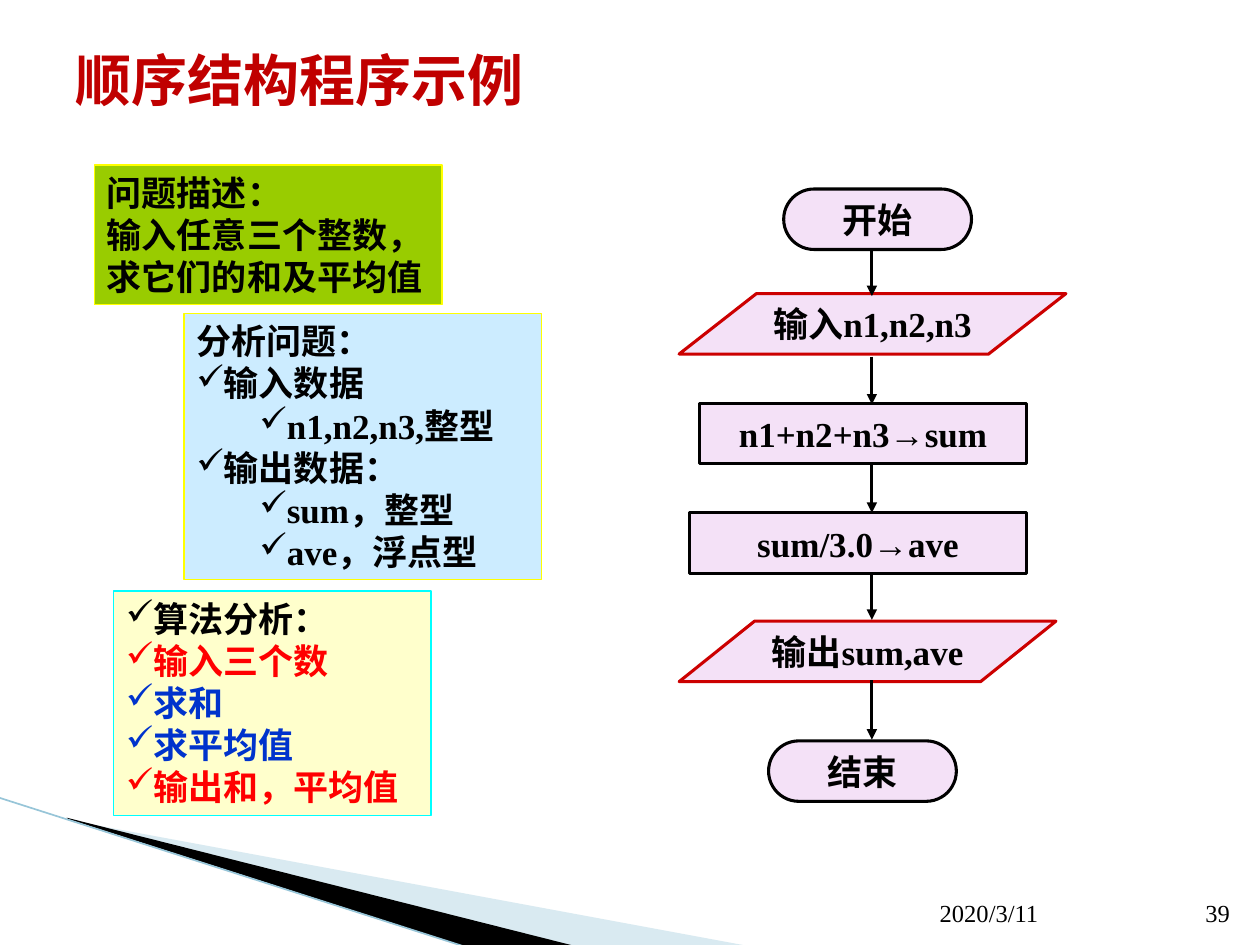
from lxml.etree import SubElement
from pptx import Presentation
from pptx.dml.color import RGBColor
from pptx.enum.shapes import MSO_CONNECTOR, MSO_SHAPE
from pptx.enum.text import MSO_ANCHOR, MSO_AUTO_SIZE, PP_ALIGN
from pptx.oxml.ns import qn
from pptx.util import Pt

PX = 9144  # 100 px to the inch
SERIF, SANS = "Times New Roman", "Noto Sans CJK SC"
COLORS = {
    "black": "000000", "title": "C00000", "red": "FF0000", "blue": "0033CC",
    "green": "99CC00", "sky": "CCECFF", "cream": "FFFFCC", "lilac": "F4E1F7",
    "yellow": "FFFF00", "cyan": "00FFFF", "crimson": "CC0000",
    "wedge": "A0CBDC", "edge": "97C5D8",
}

# Wedges: fill, opacity in percent, corners
WEDGES = [
    ("wedge", 40, [(55, 651), (595, 751), (456, 751), (55, 650)]),
    ("black", 100, [(53, 649), (457, 751), (372, 752), (54, 650)]),
]
EDGE = (-1, 633, 371, 752)

# Plain text: text, box, size, font, colour, bold, alignment, anchor
LABELS = [
    ("2020/3/11", (736, 701, 210, 40), 14, SERIF, "black", False,
     PP_ALIGN.LEFT, MSO_ANCHOR.BOTTOM),
    ("39", (946, 701, 40, 40), 14, SERIF, "black", False,
     PP_ALIGN.RIGHT, MSO_ANCHOR.BOTTOM),
    ("顺序结构程序示例", (50, 30, 900, 65), 32, SANS, "title", True,
     PP_ALIGN.LEFT, MSO_ANCHOR.MIDDLE),
]

# Notes: box, fill, line, paragraphs of (text, bullet level or None, colour)
NOTES = [
    ((75, 131, 276, 111), "green", "yellow", [
        ("问题描述：", None, "black"),
        ("输入任意三个整数，求它们的和及平均值", None, "black"),
    ]),
    ((146, 249, 284, 211), "sky", "yellow", [
        ("分析问题：", None, "black"),
        ("输入数据", 0, "black"),
        ("n1,n2,n3,整型", 1, "black"),
        ("输出数据：", 0, "black"),
        ("sum，整型", 1, "black"),
        ("ave，浮点型", 1, "black"),
    ]),
    ((90, 469, 252, 178), "cream", "cyan", [
        ("算法分析：", 0, "black"),
        ("输入三个数", 0, "red"),
        ("求和", 0, "blue"),
        ("求平均值", 0, "blue"),
        ("输出和，平均值", 0, "red"),
    ]),
]

# Flowchart: kind, text, left, top, width
STEP_H = 48
KINDS = {
    "end": (MSO_SHAPE.FLOWCHART_TERMINATOR, "black"),
    "data": (MSO_SHAPE.FLOWCHART_DATA, "crimson"),
    "process": (MSO_SHAPE.FLOWCHART_PROCESS, "black"),
}
STEPS = [
    ("end", "开始", 622, 150, 149),
    ("data", "输入n1,n2,n3", 539, 233, 307),
    ("process", "n1+n2+n3→sum", 555, 320, 260),
    ("process", "sum/3.0→ave", 547, 407, 268),
    ("data", "输出sum,ave", 539, 493, 299),
    ("end", "结束", 610, 588, 149),
]
ARROW_X = 692
ARROWS = [(197, 235), (283, 321), (369, 407), (454, 492), (540, 587)]


def rgb(name):
    return RGBColor.from_string(COLORS[name])


def emu(values):
    return [v * PX for v in values]


def add_run(p, text, size, font, color, bold):
    r = p.add_run()
    r.text = text
    r.font.size, r.font.name, r.font.bold = Pt(size), font, bold
    r.font.color.rgb = rgb(color)


def add_bullet(p, level):
    pPr = p._p.get_or_add_pPr()
    pPr.set("marL", str(level * 50 * PX))
    pPr.set("indent", "0")
    SubElement(pPr, qn("a:buChar")).set("char", "✓")
    p.level = level


def add_block(s, kind, box, fill, line, weight):
    sp = s.shapes.add_shape(kind, *emu(box))
    sp.shadow.inherit = False
    sp.fill.solid()
    sp.fill.fore_color.rgb = rgb(fill)
    sp.line.color.rgb = rgb(line)
    sp.line.width = Pt(weight)
    return sp


def add_line(s, ends, color, weight, arrow=False):
    c = s.shapes.add_connector(MSO_CONNECTOR.STRAIGHT, *emu(ends))
    c.line.color.rgb = rgb(color)
    c.line.width = Pt(weight)
    if arrow:
        SubElement(c.line._get_or_add_ln(), qn("a:tailEnd")).set("type", "triangle")
    SubElement(c._element.spPr, qn("a:effectLst"))


prs = Presentation()
prs.slide_width, prs.slide_height = emu((1000, 750))
s = prs.slides.add_slide(prs.slide_layouts[6])

# Corner decoration
for fill, opacity, points in WEDGES:
    builder = s.shapes.build_freeform(*points[0], scale=PX)
    builder.add_line_segments(points[1:], close=True)
    sp = builder.convert_to_shape()
    sp.shadow.inherit = False
    sp.line.fill.background()
    sp.fill.solid()
    sp.fill.fore_color.rgb = rgb(fill)
    if opacity < 100:
        clr = sp._element.spPr.find(qn("a:solidFill"))[0]
        SubElement(clr, qn("a:alpha")).set("val", str(opacity * 1000))
add_line(s, EDGE, "edge", 0.95)

# Date, page number and title
for text, box, size, font, color, bold, align, anchor in LABELS:
    tf = s.shapes.add_textbox(*emu(box)).text_frame
    tf.word_wrap = True
    tf.vertical_anchor = anchor
    p = tf.paragraphs[0]
    p.alignment = align
    add_run(p, text, size, font, color, bold)

# Notes on the left
for box, fill, line, paragraphs in NOTES:
    tf = add_block(s, MSO_SHAPE.RECTANGLE, box, fill, line, 0.75).text_frame
    tf.word_wrap = True
    tf.auto_size = MSO_AUTO_SIZE.SHAPE_TO_FIT_TEXT
    tf.vertical_anchor = MSO_ANCHOR.TOP
    for i, (text, level, color) in enumerate(paragraphs):
        p = tf.add_paragraph() if i else tf.paragraphs[0]
        p.alignment = PP_ALIGN.LEFT
        if level is not None:
            add_bullet(p, level)
        add_run(p, text, 20, SERIF, color, True)

# Flowchart steps
for kind, text, left, top, width in STEPS:
    shape, line = KINDS[kind]
    tf = add_block(s, shape, (left, top, width, STEP_H), "lilac", line, 1.75).text_frame
    tf.word_wrap = False
    tf.vertical_anchor = MSO_ANCHOR.MIDDLE
    p = tf.paragraphs[0]
    p.alignment = PP_ALIGN.CENTER
    add_run(p, text, 20, SERIF, "black", True)

# Flowchart arrows
for start, end in ARROWS:
    add_line(s, (ARROW_X, start, ARROW_X, end), "black", 1.75, arrow=True)

prs.save("out.pptx")
